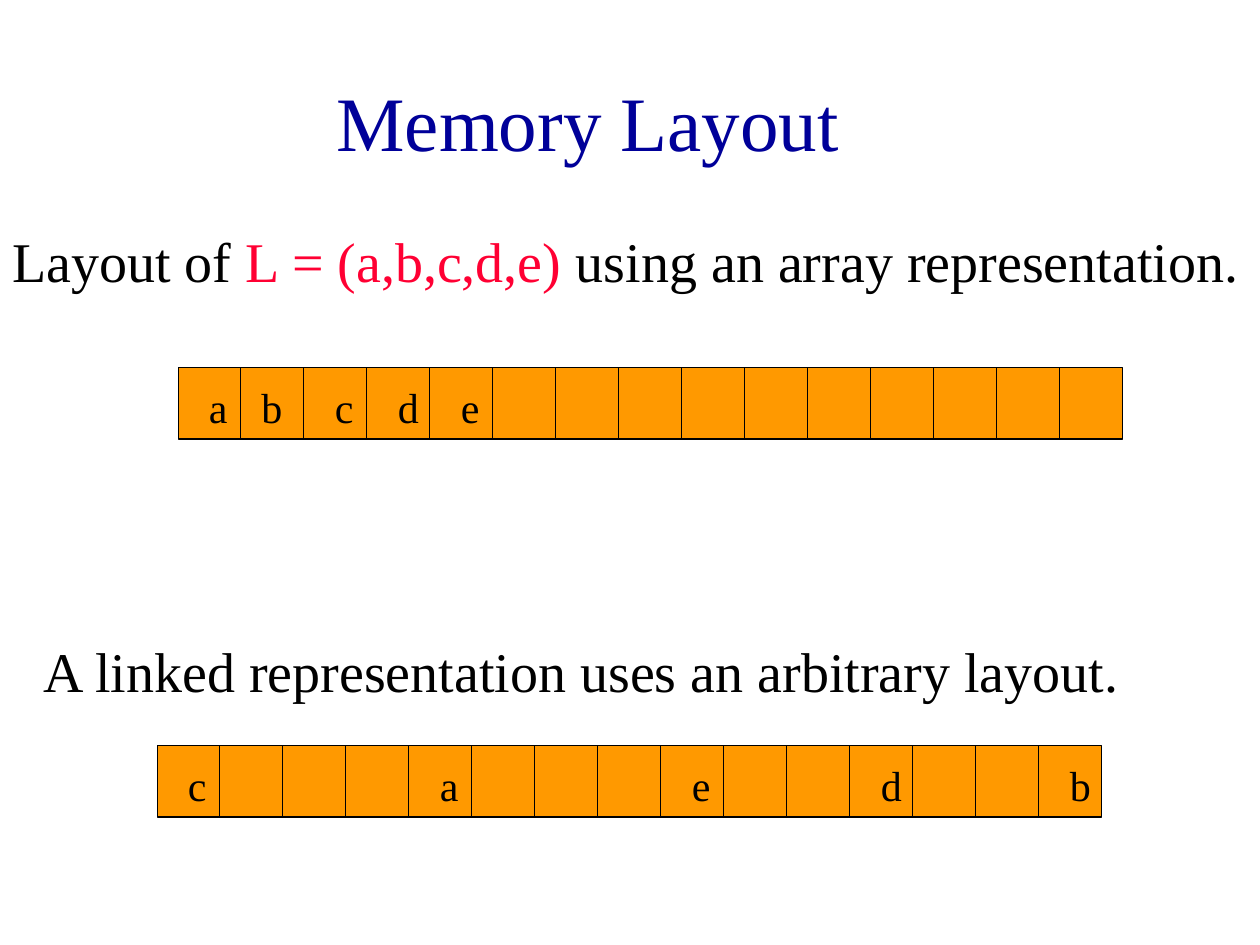
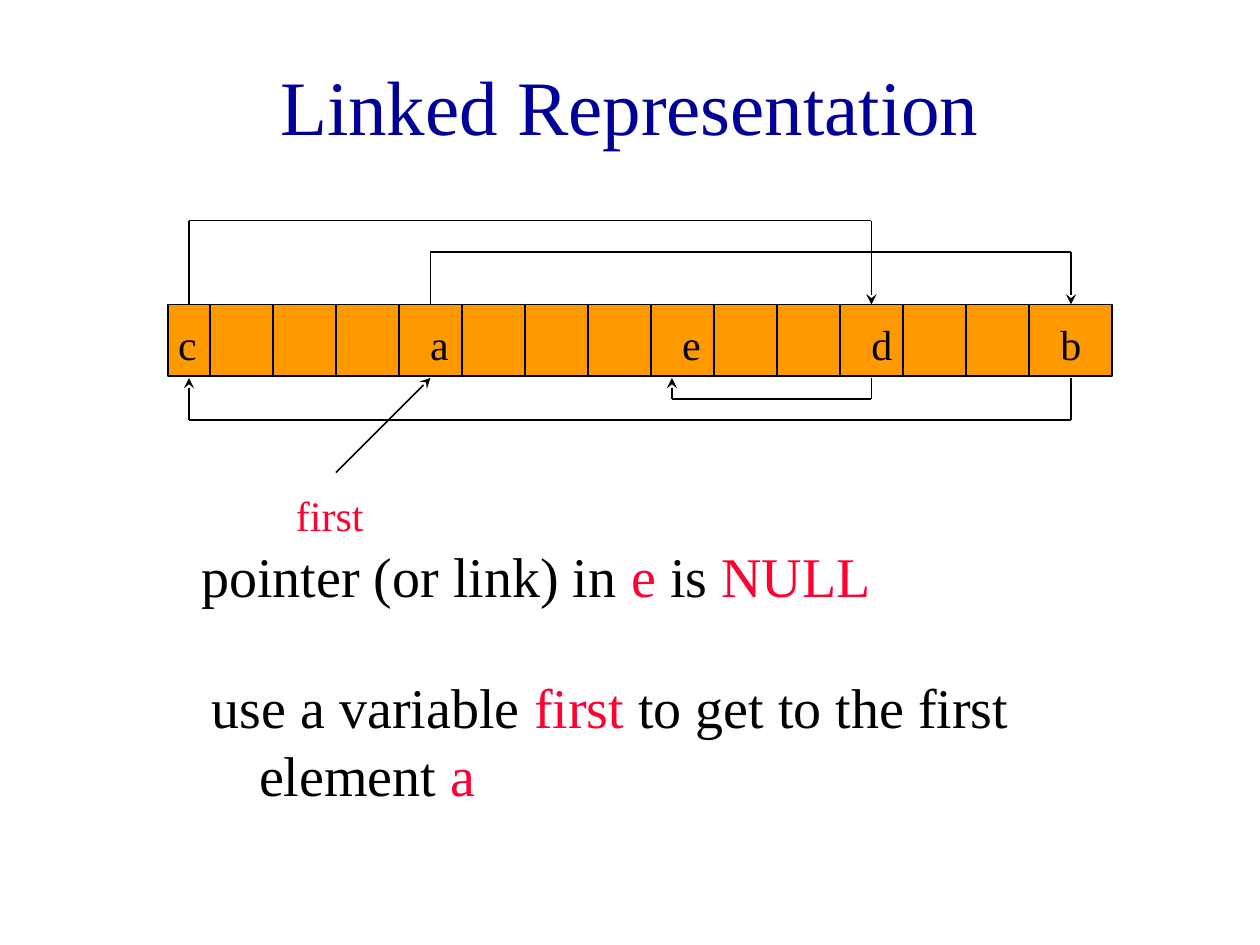
from itertools import pairwise

from lxml import etree
from pptx import Presentation
from pptx.dml.color import RGBColor
from pptx.enum import shapes, text
from pptx.oxml import ns
from pptx.util import Pt

NAVY = RGBColor(0x00, 0x00, 0x99)
RED = RGBColor(0xFF, 0x00, 0x33)
ORANGE = RGBColor(0xFF, 0x99, 0x00)
BLACK = RGBColor(0x00, 0x00, 0x00)

FONT = "Times New Roman"
CELLS = 15
PITCH = 36
BAR_SIZE = 539.5, 41
LABEL_BACKSET = 25.2
HANG = 27

LINKED_CELLS = {"c": 0, "a": 4, "e": 8, "d": 11, "b": 14}

SLIDES = [
    {
        "title": ("Memory Layout", (30, 24, 612, 90)),
        "memory": [
            {"at": (102, 210), "first_cell": 35.5, "nudge": {"b": -6},
             "cells": {letter: i for i, letter in enumerate("abcde")}},
            {"at": (90, 426), "first_cell": 35.5, "nudge": {}, "cells": LINKED_CELLS},
        ],
        "texts": [
            ([("A linked representation uses an arbitrary layout.", BLACK)],
             (18, 360, 666, 45), 32, 0),
            ([("Layout of ", BLACK), ("L = (a,b,c,d,e) ", RED),
              ("using an array representation.", BLACK)],
             (0, 126, 720, 72), 32, HANG),
        ],
        "routes": [],
    },
    {
        "title": ("Linked Representation", (54, 24, 612, 72)),
        "memory": [
            {"at": (96, 174), "first_cell": 24, "nudge": {}, "cells": LINKED_CELLS},
        ],
        "texts": [
            ([("pointer (or link) in ", BLACK), ("e", RED), (" is ", BLACK), ("NULL", RED)],
             (108, 306, 504, 138), 32, HANG),
            ([("use a variable ", BLACK), ("first ", RED),
              ("to get to the first element ", BLACK), ("a", RED)],
             (114, 381, 504, 93), 32, HANG),
            ([("first", RED)], (162, 276, 132, 36), 24, 0),
        ],
        "routes": [("a", "b", 174, 144), ("b", "c", 216, 240),
                   ("c", "d", 174, 126), ("d", "e", 216, 228)],
    },
]

PORTS = {"c": 108, "a": 246, "e": 384, "d": 498, "b": 612}
FIRST_POINTER = (192, 270), (PORTS["a"], 216)


def points(*lengths):
    return [Pt(length) for length in lengths]


def apply(target, values):
    for name, value in values.items():
        setattr(target, name, value)


def write(frame, runs, size, align=text.PP_ALIGN.LEFT, hang=0):
    paragraph = frame.paragraphs[0]
    paragraph.alignment = align
    if hang:
        properties = paragraph._p.get_or_add_pPr()
        properties.set("marL", str(Pt(hang)))
        properties.set("indent", str(-Pt(hang)))
    for words, color in runs:
        run = paragraph.add_run()
        run.text = words
        apply(run.font, {"name": FONT, "size": Pt(size)})
        run.font.color.rgb = color


def add_title(slide, words, box):
    title = slide.shapes.title
    apply(title, dict(zip(("left", "top", "width", "height"), points(*box))))
    apply(title.text_frame, {"vertical_anchor": text.MSO_ANCHOR.MIDDLE,
                             "auto_size": text.MSO_AUTO_SIZE.NONE, "word_wrap": True})
    write(title.text_frame, [(words, NAVY)], 44, text.PP_ALIGN.CENTER)


def add_text(slide, runs, box, size, hang=0, wrap=True):
    frame = slide.shapes.add_textbox(*points(*box)).text_frame
    frame.word_wrap = wrap
    write(frame, runs, size, hang=hang)


def add_line(slide, start, end, arrow=False):
    line = slide.shapes.add_connector(shapes.MSO_CONNECTOR.STRAIGHT, *points(*start, *end))
    apply(line.line, {"width": Pt(1)})
    line.line.color.rgb = BLACK
    if arrow:
        etree.SubElement(line.line._get_or_add_ln(), ns.qn("a:tailEnd"), type="stealth")
    etree.SubElement(line._element.spPr, ns.qn("a:effectLst"))


def add_memory(slide, at, first_cell, cells, nudge):
    left, top = at
    bar = slide.shapes.add_shape(shapes.MSO_SHAPE.RECTANGLE, *points(*at, *BAR_SIZE))
    bar.shadow.inherit = False
    bar.fill.solid()
    bar.fill.fore_color.rgb = ORANGE
    bar.line.color.rgb = BLACK
    bar.line.width = Pt(1)
    dividers = [left + first_cell + PITCH * i for i in range(CELLS)]
    for x in dividers[:-1]:
        add_line(slide, (x, top), (x, top + BAR_SIZE[1] + 0.5))
    for letter, i in cells.items():
        x = dividers[i] - LABEL_BACKSET + nudge.get(letter, 0)
        width = 26.5 if letter in "bd" else 25
        add_text(slide, [(letter, BLACK)], (x, top + 4.5, width, 36), 24, wrap=False)


def add_route(slide, source, target, edge, lane):
    start, end = PORTS[source], PORTS[target]
    corners = [(start, edge), (start, lane), (end, lane), (end, edge)]
    for a, b in pairwise(corners):
        add_line(slide, a, b, arrow=b == corners[-1])


def main():
    deck = Presentation()
    apply(deck, {"slide_width": Pt(720), "slide_height": Pt(540)})
    for content in SLIDES:
        slide = deck.slides.add_slide(deck.slide_layouts[5])
        add_title(slide, *content["title"])
        for memory in content["memory"]:
            add_memory(slide, **memory)
        for route in content["routes"]:
            add_route(slide, *route)
        for line in content["texts"]:
            add_text(slide, *line)
    add_line(slide, *FIRST_POINTER, arrow=True)
    deck.save("out.pptx")


if __name__ == "__main__":
    main()
